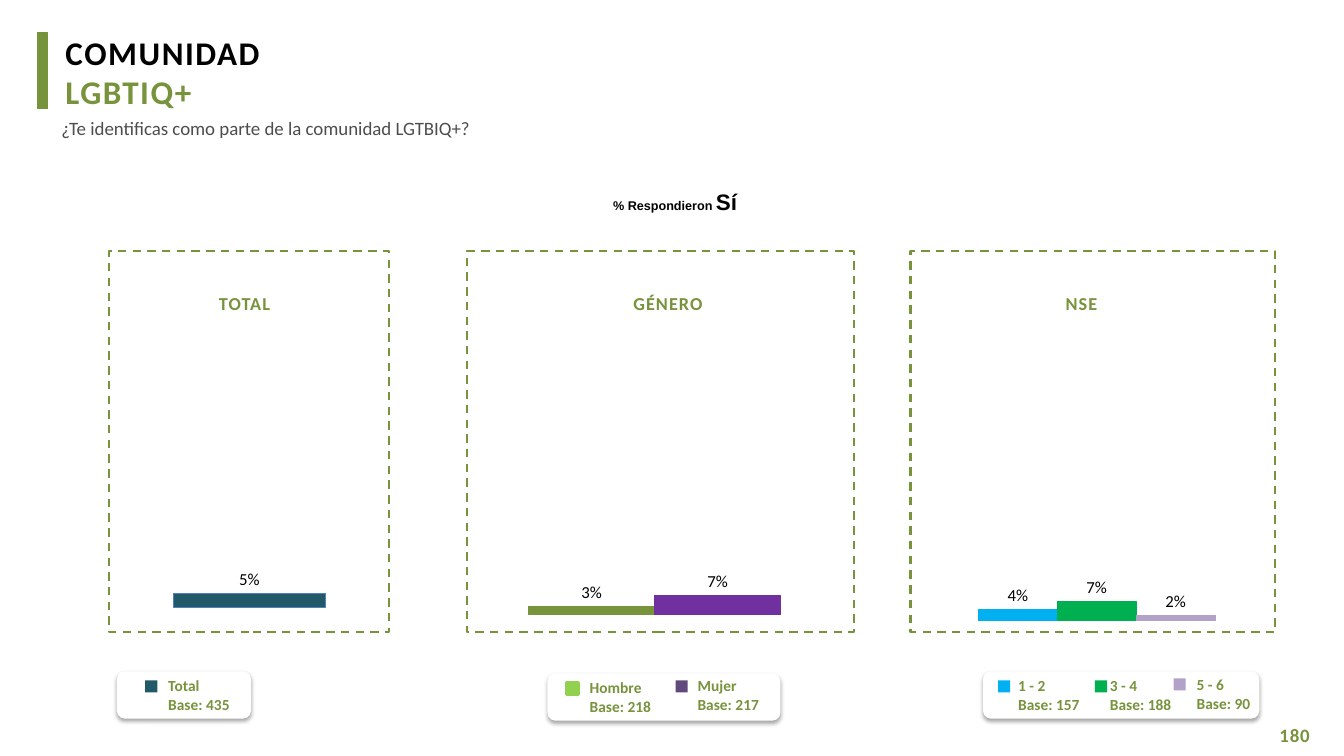
import pptx
import pptx.chart.data
import pptx.dml.color
import pptx.enum.chart
import pptx.enum.dml
import pptx.enum.shapes
import pptx.enum.text
import pptx.oxml
import pptx.oxml.ns
import pptx.util

PX = 9144  # EMU in one px, 100 px to the inch
GREEN, BLACK, GREY = "77933C", "000000", "4D4D4D"
RECTANGLE = pptx.enum.shapes.MSO_SHAPE.RECTANGLE
ROUNDED = pptx.enum.shapes.MSO_SHAPE.ROUNDED_RECTANGLE
CENTER = pptx.enum.text.PP_ALIGN.CENTER
NAMESPACES = pptx.oxml.ns.nsdecls("a", "c")


def colour(value):
    return pptx.dml.color.RGBColor.from_string(value)


def write(shapes, place, lines, insets=(1, 1, 0, 0), wrap=True, spacing=0, **layout):
    """Add a text box; each line is a list of (text, size, colour, bold, font) runs."""
    box = shapes.add_textbox(*[PX * length for length in place])
    frame = box.text_frame
    sides = ("margin_left", "margin_top", "margin_right", "margin_bottom")
    for side, inset in zip(sides, insets):
        setattr(frame, side, PX * inset)
    frame.word_wrap = wrap
    frame.auto_size = pptx.enum.text.MSO_AUTO_SIZE.SHAPE_TO_FIT_TEXT
    for number, line in enumerate(lines):
        para = frame.add_paragraph() if number else frame.paragraphs[0]
        for name, value in layout.items():
            setattr(para, name, value)
        for text, size, shade, bold, font in line:
            span = para.add_run()
            span.text = text
            formats = {"size": pptx.util.Pt(size), "bold": bold, "name": font}
            for name, value in formats.items():
                setattr(span.font, name, value)
            span.font.color.rgb = colour(shade)
            if spacing:
                span.font._element.set("spc", str(spacing))


deck = pptx.Presentation()
deck.slide_width = pptx.util.Inches(13.33)
deck.slide_height = pptx.util.Inches(7.5)
page = deck.slides.add_slide(deck.slide_layouts[6])

# Heading and page number
bar = page.shapes.add_shape(RECTANGLE, 37 * PX, 32 * PX, 10 * PX, 76 * PX)
bar.shadow.inherit = False
bar.fill.solid()
bar.fill.fore_color.rgb = bar.line.color.rgb = colour(GREEN)
bar.line.width = pptx.util.Pt(0.75)
write(page.shapes, (64, 31, 560, 82),
      [[("COMUNIDAD", 23.6, BLACK, True, "Calibri")],
       [("LGBTIQ+", 23.6, GREEN, True, "Calibri")]], spacing=110)
write(page.shapes, (60, 115, 1236, 24),
      [[("¿Te identificas como parte de la comunidad LGTBIQ+?", 13.5, GREY, False, "Calibri")]])
write(page.shapes, (1263, 717, 57, 24),
      [[("180", 13.5, GREEN, True, "Calibri")]], insets=(6, 1, 0, 0), spacing=60)
write(page.shapes, (604, 180, 132, 37),
      [[("% Respondieron ", 9, BLACK, True, "Arial"), ("Sí", 16, BLACK, True, "Arial")]],
      insets=(4, 4, 4, 4), wrap=False, line_spacing=pptx.util.Pt(21))

# Dashed panels with their titles: title, title left, panel left, panel width
panels = [("TOTAL", 124, 108, 278), ("GÉNERO", 544, 463, 384), ("NSE", 954, 903, 362)]
for title, title_left, left, width in panels:
    write(page.shapes, (title_left, 289, 236, 23),
          [[(title, 13, GREEN, True, "Calibri")]], spacing=80, alignment=CENTER)
    panel = page.shapes.add_shape(RECTANGLE, left * PX, 249 * PX, width * PX, 378 * PX)
    panel.shadow.inherit = False
    panel.fill.background()
    panel.line.color.rgb = colour(GREEN)
    panel.line.width = pptx.util.Pt(1.5)
    panel.line.dash_style = pptx.enum.dml.MSO_LINE.DASH

# Legend cards: left, top, width, then entries of
# (label, base, marker colour, marker left, marker top, text left, text top)
legends = [
    (116, 666, 133, [("Total", 435, "215968", 144, 675, 157, 666)]),
    (543, 668, 231, [("Hombre", 218, "92D050", 562, 677, 575, 668),
                     ("Mujer", 217, "604A7B", 670, 675, 682, 666)]),
    (975, 666, 274, [("1 - 2", 157, "00B0F0", 990, 675, 1000, 666),
                     ("3 - 4", 188, "00B050", 1086, 675, 1091, 666),
                     ("5 - 6", 90, "B3A2C7", 1164, 673, 1177, 665)]),
]
for left, top, width, entries in legends:
    group = page.shapes.add_group_shape()
    card = group.shapes.add_shape(ROUNDED, left * PX, top * PX, width * PX, 47 * PX)
    card.fill.solid()
    card.fill.fore_color.rgb = colour("FFFFFF")
    card.line.fill.background()
    card.shadow.inherit = False
    effects = card._element.spPr.find(pptx.oxml.ns.qn("a:effectLst"))
    effects.append(pptx.oxml.parse_xml(
        f'<a:outerShdw {NAMESPACES} blurRad="40000" dist="23000" dir="5400000" rotWithShape="0">'
        '<a:srgbClr val="000000"><a:alpha val="35000"/></a:srgbClr></a:outerShdw>'))
    for label, base, shade, marker_left, marker_top, text_left, text_top in entries:
        marker = group.shapes.add_shape(
            RECTANGLE, marker_left * PX, marker_top * PX, 12 * PX, 12 * PX)
        marker.shadow.inherit = False
        marker.fill.solid()
        marker.fill.fore_color.rgb = colour(shade)
        marker.line.fill.background()
        if label == "Hombre":
            marker.line.color.rgb = colour(shade)
            marker.line.width = pptx.util.Pt(2)
        write(group.shapes, (text_left, text_top, 82, 47),
              [[(text, 11, GREEN, True, "Calibri")] for text in (label, f"Base: {base}")],
              insets=(10, 5, 10, 5), wrap=False)

# Charts: left, height, plot area as shares of the chart, (value, fill, line) by series
charts = [
    (486, 294, (0.04, 0.04, 0.89, 0.93),
     [(0.03, GREEN, GREEN), (0.07, "7030A0", "7030A0")]),
    (921, 294, (0.1, 0.06, 0.79, 0.93),
     [(0.04, "00B0F0", "00B0F0"), (0.07, "00B050", "00B050"), (0.02, "B3A2C7", "B3A2C7")]),
    (84, 289, (0.17, 0.01, 0.63, 0.95), [(0.05, "215968", "4F81BD")]),
]
for left, height, area, columns in charts:
    data = pptx.chart.data.CategoryChartData(number_format="0%")
    data.categories = ["1"]
    for number, (value, fill, line) in enumerate(columns, 1):
        data.add_series(f"Series {number}", [value])
    chart = page.shapes.add_chart(
        pptx.enum.chart.XL_CHART_TYPE.COLUMN_CLUSTERED,
        left * PX, 325 * PX, 337 * PX, height * PX, data).chart
    chart.has_legend = chart.has_title = False
    chart.font.size = pptx.util.Pt(10)
    chart.font.name = "Calibri"
    chart.font.color.rgb = colour(BLACK)
    for axis in (chart.category_axis, chart.value_axis):
        axis.has_major_gridlines = False
        axis.visible = False
    chart.value_axis.minimum_scale, chart.value_axis.maximum_scale = 0, 1

    plot = chart.plots[0]
    plot.vary_by_categories = False
    plot.gap_width, plot.overlap = 40, 0
    for series, (value, fill, line) in zip(plot.series, columns):
        series.format.fill.solid()
        series.format.fill.fore_color.rgb = colour(fill)
        series.format.line.color.rgb = colour(line)
        series.format.line.width = pptx.util.Pt(0.75)
    plot.has_data_labels = True
    labels = plot.data_labels
    formats = {"show_value": True, "number_format": "0%", "number_format_is_linked": False,
               "position": pptx.enum.chart.XL_LABEL_POSITION.OUTSIDE_END}
    for name, value in formats.items():
        setattr(labels, name, value)
    labels.font.size = pptx.util.Pt(12)
    labels.font.name = "Calibri"
    labels.font.color.rgb = colour(BLACK)

    # Fixed inner plot area
    plot_area = chart._chartSpace.chart.plotArea
    for layout in plot_area.findall(pptx.oxml.ns.qn("c:layout")):
        plot_area.remove(layout)
    shares = "".join(f'<c:{tag} val="{share}"/>' for tag, share in zip("xywh", area))
    plot_area.insert(0, pptx.oxml.parse_xml(
        f'<c:layout {NAMESPACES}><c:manualLayout><c:layoutTarget val="inner"/>'
        f'<c:xMode val="edge"/><c:yMode val="edge"/>{shares}</c:manualLayout></c:layout>'))

deck.save("out.pptx")
